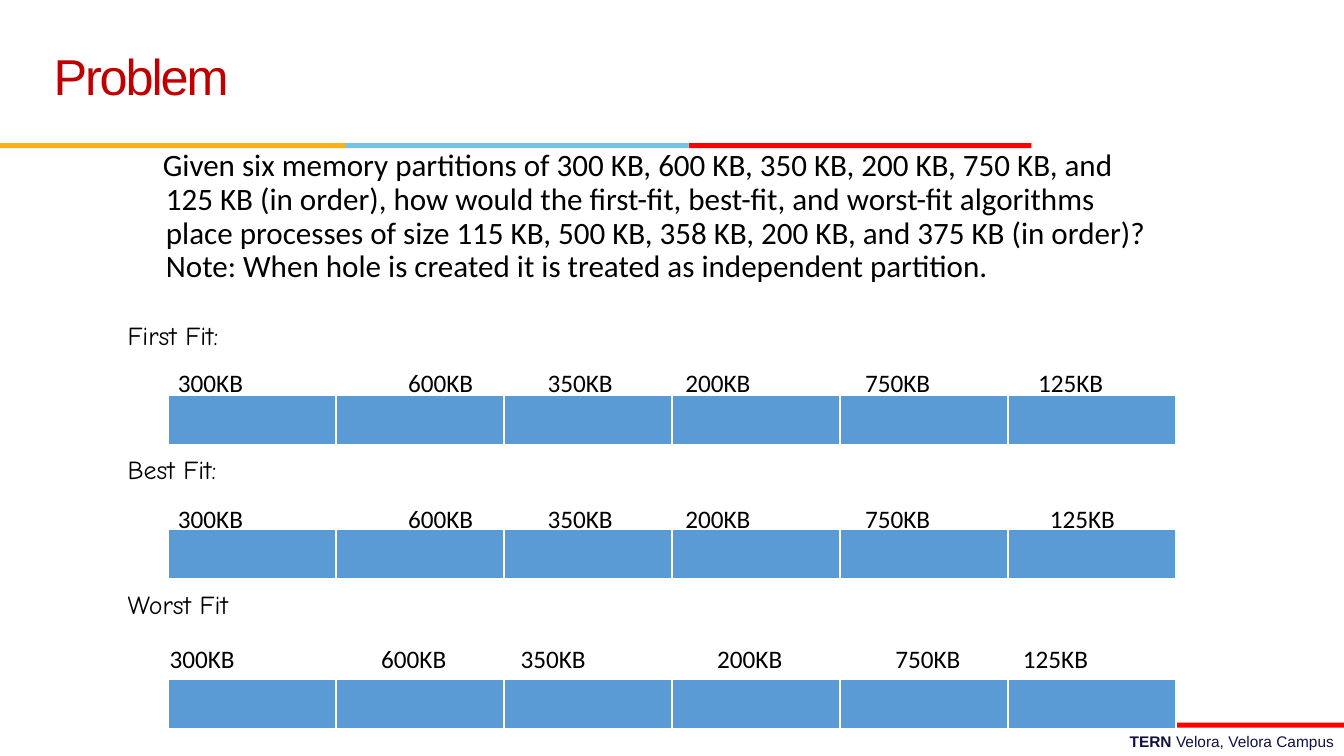
from dataclasses import dataclass

from lxml.etree import SubElement
from pptx import Presentation
from pptx.dml.color import RGBColor
from pptx.enum.shapes import MSO_SHAPE as Preset
from pptx.enum.text import MSO_ANCHOR as Anchor, PP_ALIGN as Align
from pptx.oxml.ns import qn
from pptx.slide import Slide
from pptx.text.text import TextFrame, _Paragraph as Paragraph, _Run as Run
from pptx.util import Inches, Length, Pt

WIDTH, HEIGHT = Inches(13.33), Inches(7.5)
COLUMNS, ROWS = 8, 15

BLACK = RGBColor(0x00, 0x00, 0x00)
WHITE = RGBColor(0xFF, 0xFF, 0xFF)
CRIMSON = RGBColor(0xC0, 0x00, 0x00)
NAVY = RGBColor(0x10, 0x11, 0x41)
AMBER = RGBColor(0xFC, 0xB0, 0x17)
SKY = RGBColor(0x76, 0xC2, 0xE5)
RED = RGBColor(0xFF, 0x00, 0x00)
PARTITION_BLUE = RGBColor(0x5B, 0x9B, 0xD5)

TITLE_FONT = {"name": "Arial", "size": Pt(36)}
QUESTION_FONT = {"name": "Calibri", "size": Pt(22.2)}
STRATEGY_FONT = {"name": "Comic Neue", "size": Pt(18.5)}
SIZE_FONT = {"name": "Calibri", "size": Pt(18)}
FOOTER_FONT = {"name": "Arial", "size": Pt(11)}

QUESTION = (
    "Given six memory partitions of 300 KB, 600 KB, 350 KB, 200 KB, 750 KB, and "
    "125 KB (in order), how would the first-fit, best-fit, and worst-fit algorithms "
    "place processes of size 115 KB, 500 KB, 358 KB, 200 KB, and 375 KB (in order)? "
    "Note: When hole is created it is treated as independent partition."
)
PARTITIONS = ("300KB", "600KB", "350KB", "200KB", "750KB", "125KB")
BORDER_POINTS = {"a:lnL": 1, "a:lnR": 1, "a:lnT": 1, "a:lnB": 3}


@dataclass(frozen=True)
class Area:
    """A rectangle in grid columns and rows."""
    left: float
    top: float
    width: float
    height: float

    def lengths(self) -> tuple[Length, Length, Length, Length]:
        return col(self.left), row(self.top), col(self.width), row(self.height)


@dataclass(frozen=True)
class Band:
    area: Area
    color: RGBColor


@dataclass(frozen=True)
class Strategy:
    name: str
    space_before: float
    memory_top: float
    sizes_left: float
    sizes_top: float
    tabs: tuple[float, ...]


BANDS = (
    Band(Area(0, 2.84, 2.06, 0.1), AMBER),
    Band(Area(2.06, 2.84, 2.04, 0.1), SKY),
    Band(Area(4.1, 2.84, 2.04, 0.1), RED),
    Band(Area(5.96, 14.34, 2.04, 0.1), RED),
)
STRATEGIES = (
    Strategy("First Fit:", 27.5, 7.84, 1, 7.18, (1.37, 2.2, 3.02, 4.09, 5.12)),
    Strategy("Best Fit:", 76, 10.5, 1, 9.88, (1.37, 2.2, 3.02, 4.09, 5.19)),
    Strategy("Worst Fit", 76, 13.48, 0.95, 12.66, (1.26, 2.09, 3.26, 4.32, 5.08)),
)


def col(count: float) -> Length:
    return Length(round(WIDTH * count / COLUMNS))


def row(count: float) -> Length:
    return Length(round(HEIGHT * count / ROWS))


def add_frame(slide: Slide, area: Area) -> TextFrame:
    frame = slide.shapes.add_textbox(*area.lengths()).text_frame
    frame.word_wrap = True
    return frame


def add_run(paragraph: Paragraph, text: str, font: dict, color: RGBColor = BLACK) -> Run:
    run = paragraph.add_run()
    run.text = text
    for attribute, value in font.items():
        setattr(run.font, attribute, value)
    run.font.color.rgb = color
    return run


def add_band(slide: Slide, band: Band) -> None:
    bar = slide.shapes.add_shape(Preset.RECTANGLE, *band.area.lengths())
    bar.shadow.inherit = False
    bar.fill.solid()
    bar.fill.fore_color.rgb = band.color
    bar.line.fill.background()


def add_title(slide: Slide) -> None:
    frame = add_frame(slide, Area(0.26, 0.34, 5.53, 2.5))
    frame.vertical_anchor = Anchor.MIDDLE
    heading = frame.paragraphs[0]
    heading.line_spacing = Pt(36)
    run = add_run(heading, "Problem", TITLE_FONT, CRIMSON)
    run.font._element.set("spc", "-150")


def add_question(slide: Slide) -> None:
    """Write the question and, below it, the names of the strategies."""
    frame = add_frame(slide, Area(0.7, 2.88, 6.18, 9.9))
    question = frame.paragraphs[0]
    question.line_spacing = 0.9
    properties = question._p.get_or_add_pPr()
    properties.set("marL", str(Inches(0.38)))
    properties.set("indent", str(Inches(-0.03)))
    add_run(question, QUESTION, QUESTION_FONT)
    for strategy in STRATEGIES:
        heading = frame.add_paragraph()
        heading.line_spacing = 0.9
        heading.space_before = Pt(strategy.space_before)
        add_run(heading, strategy.name, STRATEGY_FONT)


def add_memory(slide: Slide, strategy: Strategy) -> None:
    """Draw the partitions as a one-row table with white borders."""
    area = Area(1, strategy.memory_top, len(PARTITIONS), 1)
    table = slide.shapes.add_table(1, len(PARTITIONS), *area.lengths()).table
    table.first_row = table.horz_banding = False
    for cell in table.iter_cells():
        properties = cell._tc.get_or_add_tcPr()
        for tag, points in BORDER_POINTS.items():
            border = SubElement(properties, qn(tag), w=str(Pt(points)))
            paint = SubElement(border, qn("a:solidFill"))
            SubElement(paint, qn("a:srgbClr"), val=str(WHITE))
        cell.fill.solid()
        cell.fill.fore_color.rgb = PARTITION_BLUE


def add_sizes(slide: Slide, strategy: Strategy) -> None:
    """Write the partition sizes in one line, set apart by tab stops."""
    frame = add_frame(slide, Area(strategy.sizes_left, strategy.sizes_top, 6.1, 0.8))
    sizes = frame.paragraphs[0]
    stops = SubElement(sizes._p.get_or_add_pPr(), qn("a:tabLst"))
    for tab in strategy.tabs:
        SubElement(stops, qn("a:tab"), pos=str(col(tab)), algn="l")
    add_run(sizes, "\t".join(PARTITIONS), SIZE_FONT)


def add_footer(slide: Slide) -> None:
    campus = add_frame(slide, Area(2.87, 14.42, 5.13, 0.58)).paragraphs[0]
    campus.alignment = Align.RIGHT
    add_run(campus, "TERN ", FOOTER_FONT | {"bold": True}, NAVY)
    add_run(campus, "Velora, Velora Campus", FOOTER_FONT, NAVY)


def main() -> None:
    deck = Presentation()
    deck.slide_width, deck.slide_height = WIDTH, HEIGHT
    slide = deck.slides.add_slide(deck.slide_layouts[6])
    add_footer(slide)
    for band in BANDS:
        add_band(slide, band)
    add_question(slide)
    add_title(slide)
    for strategy in STRATEGIES:
        add_memory(slide, strategy)
        add_sizes(slide, strategy)
    deck.save("out.pptx")


if __name__ == "__main__":
    main()
